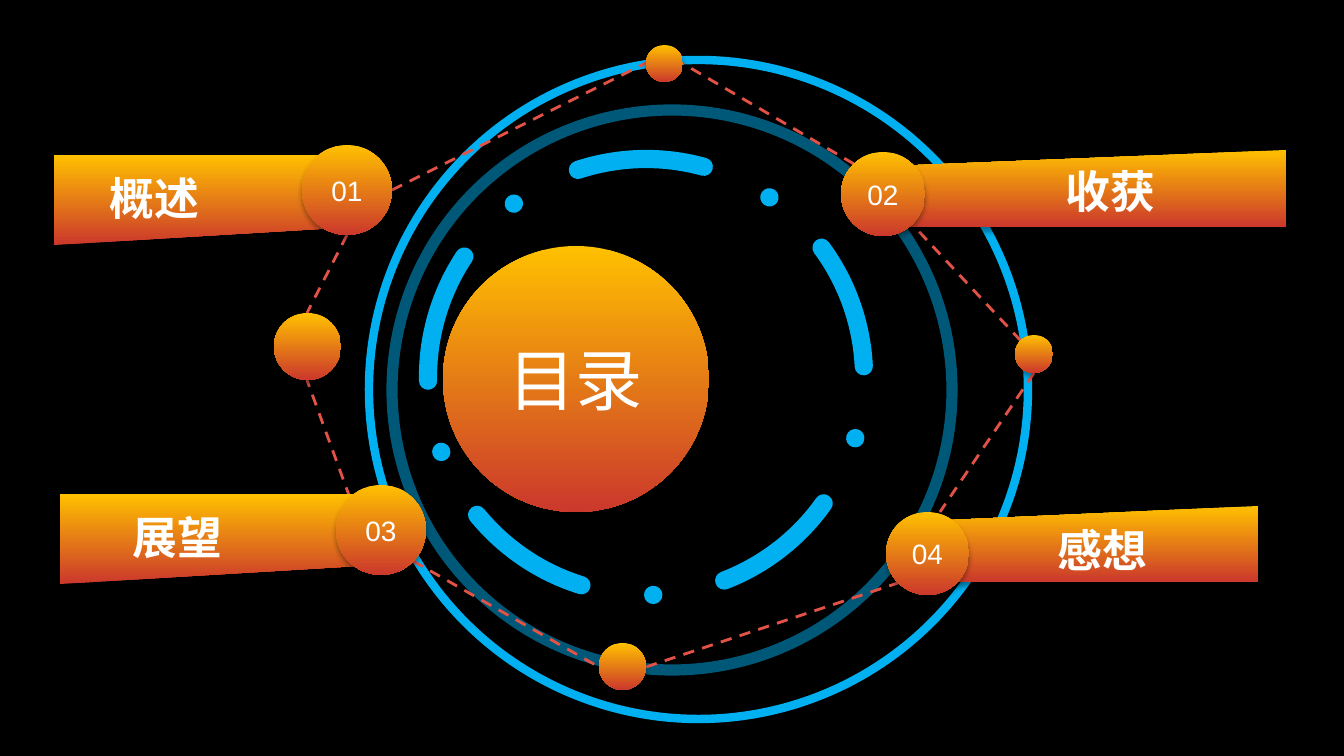
from lxml import etree
from pptx import Presentation, util as u
from pptx.dml.color import RGBColor
from pptx.enum import dml, shapes, text
from pptx.oxml.ns import qn

PX = 12192000 / 1344  # EMU per px
COLORS = {"back": "000000", "gold": "FFC000", "red": "CB382C",
          "blue": "00B0F0", "dash": "E25247", "white": "FFFFFF"}
FONT = "Arial"

# Content, lengths in px
TITLE = ("目录", 443, 246, 266)
# left, top, size, line width in pt, dashed, opacity in percent
RINGS = [(428, 159, 436, 13, True, 100),
         (369, 60, 659, 6, False, 100),
         (392, 110, 560, 8, False, 50)]
# number, banner box, turned, number circle, label, label corner
ENTRIES = [
    ("01", (54, 155, 297, 90), True, (302, 145, 90), "概述", (100, 166)),
    ("02", (909, 150, 377, 77), False, (841, 152, 84), "收获", (1056, 159)),
    ("03", (60, 494, 297, 90), True, (336, 485, 90), "展望", (123, 505)),
    ("04", (923, 506, 335, 76), False, (886, 512, 83), "感想", (1048, 518)),
]
LABEL_SIZE = (111, 65)
NODES = [(274, 313, 67), (1015, 335, 38), (599, 643, 47), (646, 45, 37)]
LINKS = [(347, 235, 307, 313), (392, 190, 646, 63), (1021, 341, 912, 224),
         (646, 667, 898, 583), (350, 498, 307, 380), (854, 164, 682, 63),
         (1034, 373, 940, 512), (413, 561, 599, 667)]


def px(*lengths):
    return [round(length * PX) for length in lengths]


def rgb(name):
    return RGBColor.from_string(COLORS[name])


def write(shape, words, size, bold=False, align=None):
    paragraph = shape.text_frame.paragraphs[0]
    paragraph.alignment = align
    run = paragraph.add_run()
    run.text = words
    run.font.name, run.font.size, run.font.bold = FONT, u.Pt(size), bold
    run.font.color.rgb = rgb("white")


def add_glow_shape(parent, kind, left, top, width, height, turned=False):
    """Gold-to-red shape with a soft shadow beneath it."""
    shape = parent.add_shape(kind, *px(left, top, width, height))
    shape.rotation = 180 if turned else 0
    shape.fill.gradient()
    shape.fill.gradient_angle = 270
    names = ("red", "gold") if turned else ("gold", "red")
    for stop, name, position in zip(shape.fill.gradient_stops, names, (0, 1)):
        stop.color.rgb, stop.position = rgb(name), position
    shape.line.fill.background()
    shape.shadow.inherit = False
    effects = shape._element.spPr.find(qn("a:effectLst"))
    shadow = etree.SubElement(effects, qn("a:outerShdw"), blurRad=str(u.Pt(4)),
                              dist=str(u.Pt(3)), dir="5400000", rotWithShape="0")
    color = etree.SubElement(shadow, qn("a:srgbClr"), val="000000")
    etree.SubElement(color, qn("a:alpha"), val="35000")
    return shape


def add_ball(parent, left, top, size, words=None, points=20):
    ball = add_glow_shape(parent, shapes.MSO_SHAPE.OVAL, left, top, size, size)
    if words:
        ball.text_frame.vertical_anchor = text.MSO_ANCHOR.MIDDLE
        write(ball, words, points, align=text.PP_ALIGN.CENTER)


def add_ring(parent, left, top, size, width, dashed, opacity):
    ring = parent.add_shape(shapes.MSO_SHAPE.OVAL, *px(left, top, size, size))
    ring.shadow.inherit = False
    ring.fill.background()
    ring.line.color.rgb, ring.line.width = rgb("blue"), u.Pt(width)
    outline = ring._element.spPr.find(qn("a:ln"))
    if dashed:
        ring.line.dash_style = dml.MSO_LINE.LONG_DASH_DOT
        outline.set("cap", "rnd")
    if opacity < 100:
        color = outline.find(".//" + qn("a:srgbClr"))
        etree.SubElement(color, qn("a:alpha"), val=str(opacity * 1000))


def add_link(parent, *ends):
    link = parent.add_connector(shapes.MSO_CONNECTOR.STRAIGHT, *px(*ends))
    link.line.color.rgb, link.line.width = rgb("dash"), u.Pt(2)
    link.line.dash_style = dml.MSO_LINE.DASH
    etree.SubElement(link._element.spPr, qn("a:effectLst"))


def add_label(parent, words, left, top):
    label = parent.add_textbox(*px(left, top, *LABEL_SIZE))
    label.text_frame.word_wrap = False
    label.text_frame.auto_size = text.MSO_AUTO_SIZE.SHAPE_TO_FIT_TEXT
    write(label, words, 32, bold=True)


def main():
    presentation = Presentation()
    presentation.slide_width, presentation.slide_height = px(1344, 756)
    slide = presentation.slides.add_slide(presentation.slide_layouts[6])
    slide.background.fill.solid()
    slide.background.fill.fore_color.rgb = rgb("back")
    canvas = slide.shapes

    # Title circle and rings
    words, *place = TITLE
    add_ball(canvas, *place, words, 48)
    for ring in RINGS:
        add_ring(canvas, *ring)

    # Dashed path and its nodes
    for link in LINKS:
        add_link(canvas, *link)
    for node in NODES:
        add_ball(canvas, *node)

    # Numbered banners, then their labels
    for number, banner, turned, circle, _, _ in ENTRIES:
        group = canvas.add_group_shape().shapes
        add_glow_shape(group, shapes.MSO_SHAPE.FLOWCHART_MANUAL_INPUT,
                       *banner, turned=turned)
        add_ball(group, *circle, number)
    for *_, words, corner in ENTRIES:
        add_label(canvas, words, *corner)

    presentation.save("out.pptx")


if __name__ == "__main__":
    main()
